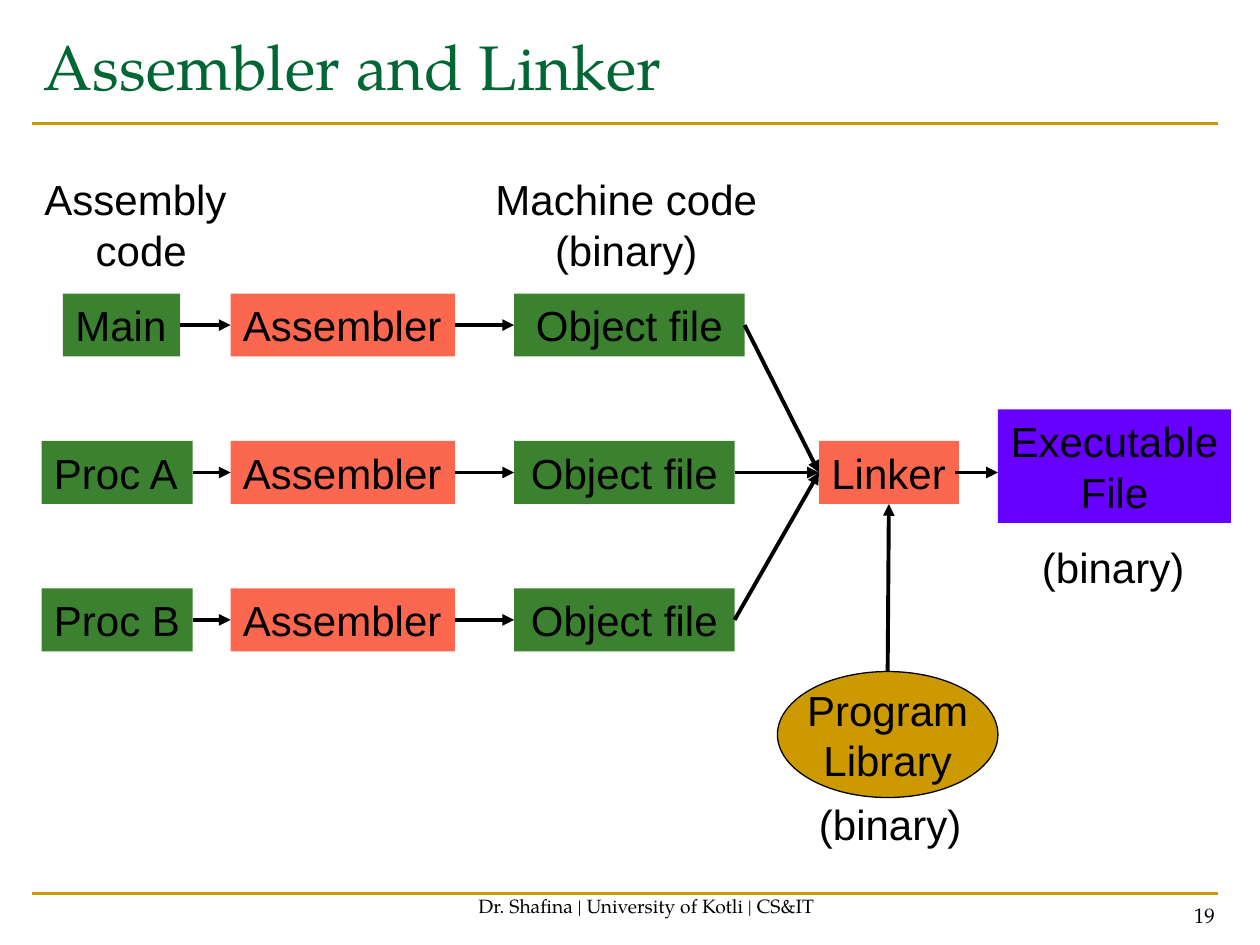
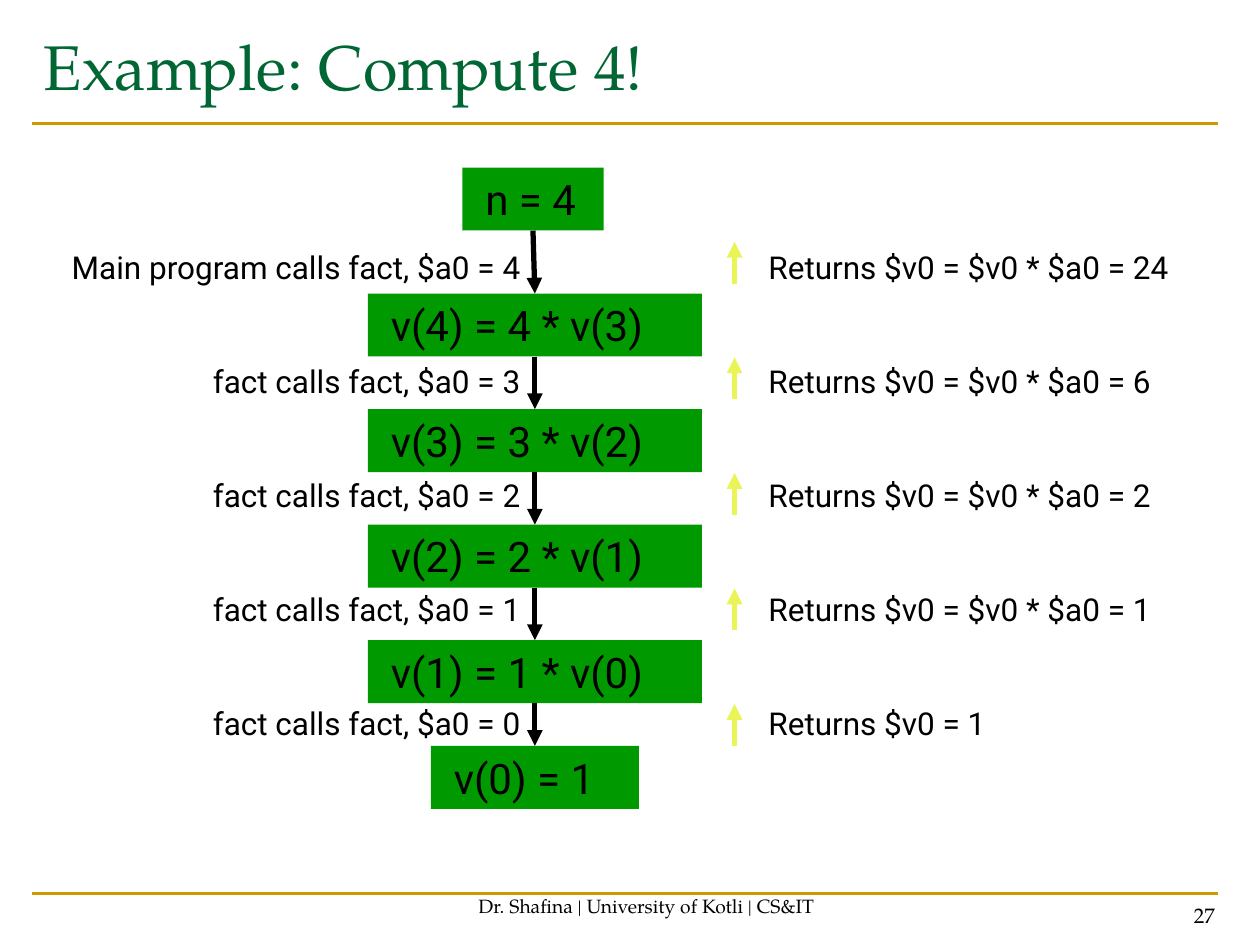
"""Build two lecture slides: an assembler and linker flow, and a recursive factorial trace."""
from lxml import etree
from pptx import Presentation
from pptx import util as u
from pptx.dml.color import RGBColor
from pptx.enum import shapes, text
from pptx.oxml.ns import qn

BLACK = RGBColor(0, 0, 0)
GOLD = RGBColor(0xCC, 0x99, 0x00)
TITLE_GREEN = RGBColor(0x00, 0x66, 0x33)
FILE_GREEN = RGBColor(0x3B, 0x81, 0x2F)
CALL_GREEN = RGBColor(0x00, 0x99, 0x00)
CORAL = RGBColor(0xFB, 0x68, 0x4F)
VIOLET = RGBColor(0x66, 0x00, 0xFF)
YELLOW = RGBColor(0xE9, 0xF4, 0x56)
SERIF, SANS, ROBOTO = "TeX Gyre Pagella", "Arial", "Roboto"
LEFT, CENTER, RIGHT = text.PP_ALIGN.LEFT, text.PP_ALIGN.CENTER, text.PP_ALIGN.RIGHT
TOP, MIDDLE, BOTTOM = (text.MSO_ANCHOR.TOP, text.MSO_ANCHOR.MIDDLE,
                       text.MSO_ANCHOR.BOTTOM)
RECT, OVAL = shapes.MSO_SHAPE.RECTANGLE, shapes.MSO_SHAPE.OVAL
SITE_TOP, SITE_LEFT, SITE_BOTTOM, SITE_RIGHT = range(4)

FOOTER = "Dr. Shafina | University of Kotli | CS&IT"
RULES = (7.09, 0.98)

SOURCES = [("Main", 0.5, 0.93, 1.83), ("Proc A", 0.33, 1.2, 1.75), ("Proc B", 0.33, 1.2, 1.75)]
CAPTIONS = [
    (["Assembly", " code"], (0.25, 1.33, 1.65, 0.9)),
    (["Machine code", "(binary)"], (3.83, 1.33, 2.28, 0.9)),
    (["(binary)"], (6.4, 6.29, 1.33, 0.5)),
    (["(binary)"], (8.17, 4.25, 1.33, 0.5)),
]
ROW_TOP, ROW_STEP = 2.33, 1.17

STEPS = [
    (" n = 4", 3.67, 1.33, 1.12),
    *[(f" v({n}) = {n} * v({n - 1}) ", 2.92, 2.33 + (4 - n) * 0.917, 2.65)
      for n in (4, 3, 2, 1)],
    (" v(0) = 1 ", 3.42, 5.92, 1.65),
]
CALLS = ["Main program calls fact, $a0 = 4"] + [f"fact calls fact, $a0 = {n}" for n in (3, 2, 1, 0)]
RETURNS = [f"Returns $v0 = $v0 * $a0 = {v}" for v in (24, 6, 2, 1)] + ["Returns $v0 = 1"]
RETURN_X, RETURN_TOP, RETURN_STEP, RETURN_LEN = 5.83, 1.92, 0.917, 0.33


def write(sp, lines, size, font, color=BLACK, align=LEFT, anchor=TOP, wrap=True, gap=0):
    tf = sp.text_frame
    tf.word_wrap = wrap
    tf.vertical_anchor = anchor
    tf.text = "\n".join(lines)
    for i, p in enumerate(tf.paragraphs):
        p.alignment = align
        p.space_before = u.Pt(gap if i else 0)
        for r in p.runs:
            r.font.size, r.font.name = u.Pt(size), font
            r.font.color.rgb = color


def label(s, lines, at, size, font, **style):
    write(s.shapes.add_textbox(*map(u.Inches, at)), lines, size, font, **style)


def box(s, lines, at, fill, font=SANS, kind=RECT, outline=None, **style):
    sp = s.shapes.add_shape(kind, *map(u.Inches, at))
    sp.shadow.inherit = False
    sp.fill.solid()
    sp.fill.fore_color.rgb = fill
    if outline is None:
        sp.line.fill.background()
    else:
        sp.line.color.rgb = outline
        sp.line.width = u.Pt(0.75)
    write(sp, lines, 24, font, **style)
    return sp


def line(s, start, end, color, width, head=True):
    c = s.shapes.add_connector(shapes.MSO_CONNECTOR.STRAIGHT, *map(u.Inches, start + end))
    c.line.color.rgb = color
    c.line.width = u.Pt(width)
    props = c.element.spPr
    if head:
        etree.SubElement(props.find(qn("a:ln")), qn("a:tailEnd"), type="triangle")
    etree.SubElement(props, qn("a:effectLst"))
    return c


def link(s, first, second, width=2.25, sites=(SITE_RIGHT, SITE_LEFT)):
    c = line(s, (0, 0), (1, 1), BLACK, width)
    c.begin_connect(first, sites[0])
    c.end_connect(second, sites[1])


def new_slide(prs, title, number):
    s = prs.slides.add_slide(prs.slide_layouts[6])
    for y in RULES:
        line(s, (0.25, y), (9.67, y), GOLD, 1.5, head=False)
    label(s, [title], (0.25, 0.17, 9.42, 1.17), 36, SERIF, color=TITLE_GREEN)
    label(s, [FOOTER], (3.42, 6.83, 3.42, 0.5), 11, SERIF, align=CENTER, anchor=BOTTOM)
    label(s, [str(number)], (7.41, 6.91, 2.33, 0.5), 12, SERIF, align=RIGHT, anchor=BOTTOM)
    return s


def linker_slide(prs):
    s = new_slide(prs, "Assembler and Linker", 19)
    linker = box(s, ["Linker"], (6.5, 3.5, 1.11, 0.5), CORAL, wrap=False)
    for i, (name, x, width, object_width) in enumerate(SOURCES):
        y = ROW_TOP + i * ROW_STEP
        source = box(s, [name], (x, y, width, 0.5), FILE_GREEN, wrap=False)
        assembler = box(s, ["Assembler"], (1.83, y, 1.78, 0.5), CORAL, wrap=False)
        obj = box(s, ["Object file"], (4.08, y, object_width, 0.5), FILE_GREEN, align=CENTER)
        for first, second in ((source, assembler), (assembler, obj), (obj, linker)):
            link(s, first, second)
    library = box(s, ["Program", "Library"], (6.17, 5.33, 1.75, 1), GOLD, kind=OVAL,
                  outline=BLACK, align=CENTER, anchor=MIDDLE, wrap=False)
    link(s, library, linker, sites=(SITE_TOP, SITE_BOTTOM))
    box(s, ["Executable", "File"], (7.92, 3.25, 1.85, 0.9), VIOLET, align=CENTER, wrap=False)
    line(s, (7.58, 3.75), (7.92, 3.75), BLACK, 2.25)
    for lines, at in CAPTIONS:
        label(s, lines, at, 24, SANS, align=CENTER, wrap=False)


def factorial_slide(prs):
    s = new_slide(prs, "Example: Compute 4!", 27)
    boxes = [box(s, [name], (x, y, width, 0.5), CALL_GREEN, ROBOTO, wrap=False)
             for name, x, y, width in STEPS]
    label(s, CALLS, (0.39, 1.92, 3.84, 4.04), 18, ROBOTO, align=RIGHT, gap=43.5)
    label(s, RETURNS, (6, 1.92, 3.58, 4.01), 18, ROBOTO, gap=43.5)
    for first, second in zip(boxes, boxes[1:]):
        link(s, first, second, 3, (SITE_BOTTOM, SITE_TOP))
    for i in range(len(RETURNS)):
        y = RETURN_TOP + i * RETURN_STEP
        line(s, (RETURN_X, y + RETURN_LEN), (RETURN_X, y), YELLOW, 3)


prs = Presentation()
prs.slide_width, prs.slide_height = u.Inches(10), u.Inches(7.5)
linker_slide(prs)
factorial_slide(prs)
prs.save("out.pptx")
